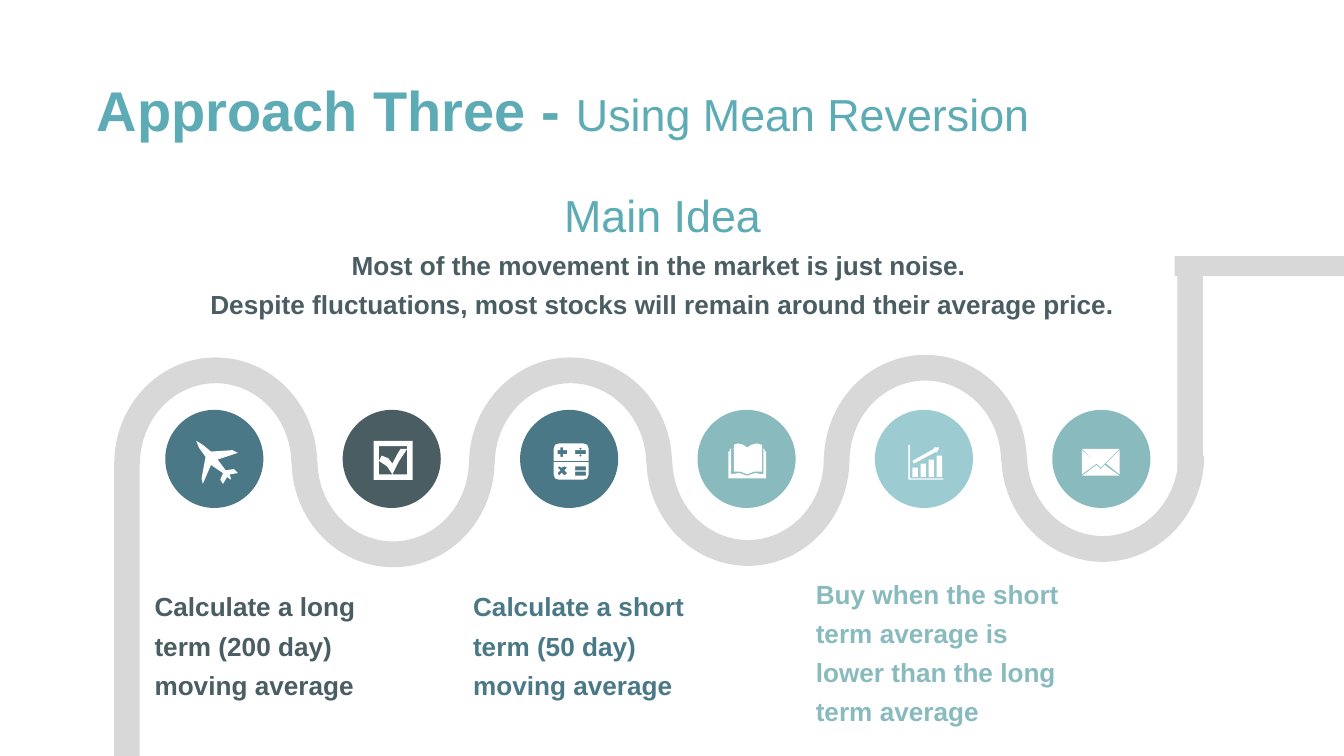
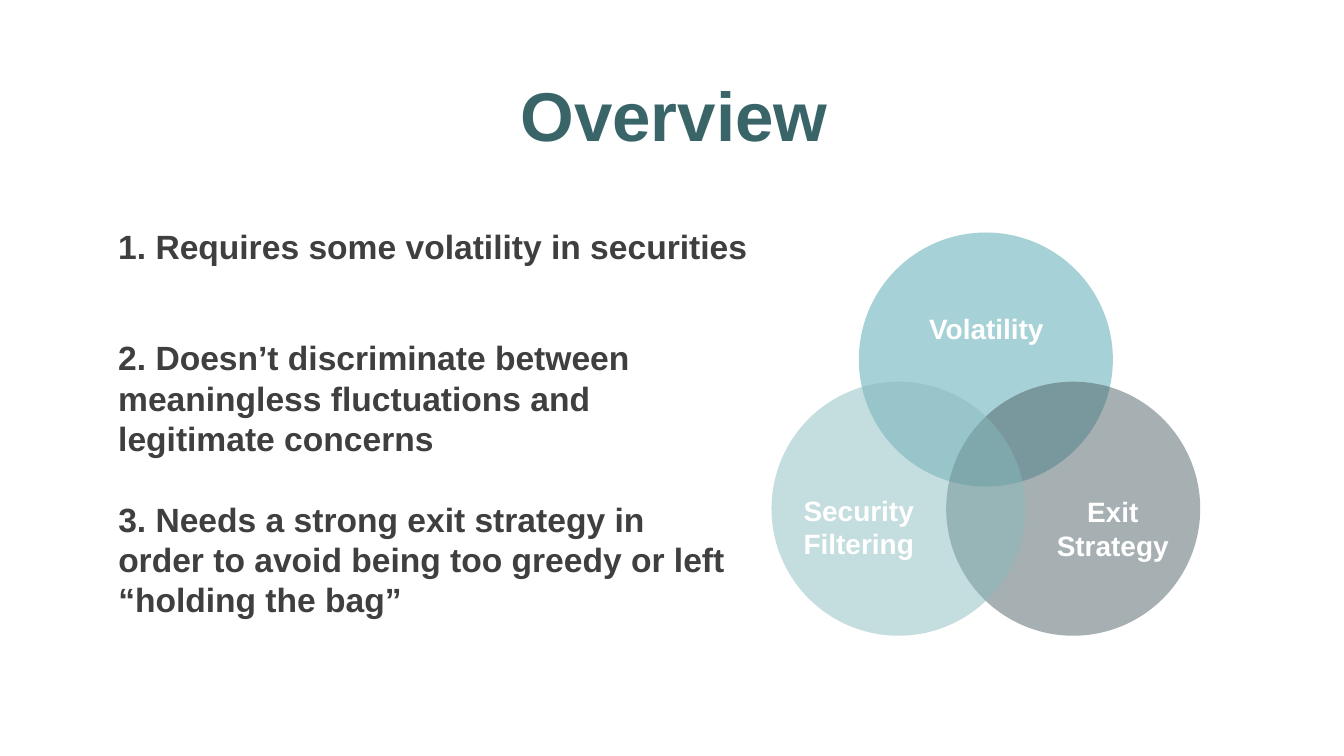
from lxml import etree
from pptx import Presentation
from pptx import util as u
from pptx.dml.color import RGBColor
from pptx.enum import shapes, text
from pptx.oxml.ns import qn

# Grid: 100 columns by 56.25 rows of square cells
CELL = u.Inches(0.1)
COLUMNS, ROWS = 100, 56.25
FONT = "Arial"
COLOURS = {
    "road": "D8D8D8", "white": "FFFFFF", "title": "5DABB5", "overview": "396569",
    "slate": "4A5D62", "blue": "4A7886", "sage": "88BABE", "sky": "9CCCD2",
    "ink": "3F3F3F",
}
KIND = shapes.MSO_SHAPE
MIDDLE, TOP = text.MSO_ANCHOR.MIDDLE, text.MSO_ANCHOR.TOP
LEFT, CENTER = text.PP_ALIGN.LEFT, text.PP_ALIGN.CENTER


def paint(shape, colour, opacity=None):
    shape.shadow.inherit = False
    shape.fill.solid()
    shape.fill.fore_color.rgb = RGBColor.from_string(COLOURS[colour])
    if opacity is not None:
        tint = shape.element.find(".//" + qn("a:srgbClr"))
        etree.SubElement(tint, qn("a:alpha"), val=str(opacity * 1000))
    shape.line.fill.background()


def add_text(page, area, paras, anchor=TOP, align=LEFT, spacing=1.0):
    """Each para is a list of (words, size, colour, bold) spans."""
    box = page.shapes.add_textbox(*[round(n * CELL) for n in area])
    frame = box.text_frame
    frame.word_wrap = True
    frame.vertical_anchor = anchor
    frame.margin_left = frame.margin_right = u.Inches(0.07)
    frame.margin_top = frame.margin_bottom = u.Inches(0.04)
    for number, spans in enumerate(paras):
        para = frame.add_paragraph() if number else frame.paragraphs[0]
        para.alignment = align
        para.line_spacing = spacing
        for words, size, colour, bold in spans:
            span = para.add_run()
            span.text = words
            span.font.name = FONT
            span.font.size = u.Pt(size)
            span.font.bold = bold
            span.font.color.rgb = RGBColor.from_string(COLOURS[colour])


deck = Presentation()
deck.slide_width, deck.slide_height = round(COLUMNS * CELL), round(ROWS * CELL)
blank = deck.slide_layouts[6]

# Slide 1: winding road
page = deck.slides.add_slide(blank)
PITCH = 13.2
ROAD_LEFT, ROAD_WIDTH = 8.5, 1.9

for step, top in enumerate([26.6, 26.4, 26.6, 26.3, 26.4, 26]):
    arc = page.shapes.add_shape(
        KIND.BLOCK_ARC, round((ROAD_LEFT + step * PITCH) * CELL), round(top * CELL),
        round(15.1 * CELL), round(15.8 * CELL))
    for index, value in enumerate([108, 215.594, 0.127]):
        arc.adjustments[index] = value
    arc.rotation = 180 * (step % 2)
    paint(arc, "road")

for area in [(ROAD_LEFT, 34.4, ROAD_WIDTH, ROWS - 34.4),
             (87.6, 19.9, ROAD_WIDTH, 15),
             (87.4, 19.05, COLUMNS - 87.4, 1.5)]:
    straight = page.shapes.add_shape(KIND.RECTANGLE, *[round(n * CELL) for n in area])
    paint(straight, "road")

# Icon outlines, in tenths of a cell from the corner of their circle
plane = ["54,47 48,48 49,52 46,50 43,55 41,52 43,47 34,41 28,55 27,51 30,35 "
         "25,28 23,23 28,26 34,31 50,30 54,32 39,37 45,45 51,44"]
tick_box = ["23,23 52,23 52,52 23,52",
            "27,27 27,48 37,48 33,42 27,38 29,34 34,36 37,40 40,34 43,29 "
            "48,29 42,38 37,48 48,48 48,27"]
calculator = [
    "25,29 26,26 29,25 37.8,25 37.8,38 25,38",
    "38.3,25 47,25 50,26 51,29 51,38 38.3,38",
    "25,39 37.8,39 37.8,52 29,52 26,51 25,48",
    "38.3,39 51,39 51,48 50,51 47,52 38.3,52",
    "30,28 32,28 32,30 35,30 35,33 32,33 32,35 30,35 30,33 28,33 28,30 30,30",
    "41,30 49,30 49,33 41,33", "45,28 46,29 45,30 44,29", "45,33 46,34 45,35 44,34",
    "29,42 31,43 33,42 35,43 33,45 35,47 33,49 31,47 29,49 28,47 30,45 28,43",
    "41,42 49,42 49,45 41,45", "41,46 49,46 49,49 41,49"]
book = ["23,31 24,31 24,29 27,29 27,26 30,25 34,26 37,28 40,26 44,25 48,26 48,29 "
        "50,29 50,31 51,31 51,51 23,51",
        "25,29 25,48 31,47 37,49 37,48 32,46 27,46 27,29",
        "49,29 49,48 43,47 37,49 37,48 42,46 48,46 48,29",
        "36.8,29 37.2,29 37.2,48 36.8,48"]
growth = ["28,43 32,43 32,50 28,50", "34,40 38,40 38,50 34,50",
          "40,37 44,37 44,50 40,50", "46,34 50,34 50,50 46,50",
          "44,28 48,28 46,32 46,31 29,40 28,38 44,29",
          "25,26 26,26 26,51 51,51 51,52 25,52"]
envelope = ["39,41 50,49 22,49 33,41 36,44", "50,30 50,48 40,40",
            "22,30 33,40 22,48", "22,29 50,29 36,43"]

# Milestone circles with their icons
milestones = [("blue", plane), ("slate", tick_box), ("blue", calculator),
              ("sage", book), ("sky", growth), ("sage", envelope)]
for step, (colour, outlines) in enumerate(milestones):
    left, top = 12.3 + step * PITCH, 30.5
    circle = page.shapes.add_shape(
        KIND.OVAL, round(left * CELL), round(top * CELL),
        round(7.3 * CELL), round(7.3 * CELL))
    paint(circle, colour)
    pen = None
    for outline in outlines:
        points = []
        for pair in outline.split():
            x, y = pair.split(",")
            points.append((left * 10 + float(x), top * 10 + float(y)))
        if pen is None:
            pen = page.shapes.build_freeform(*points[0], scale=CELL / 10)
        else:
            pen.move_to(*points[0])
        pen.add_line_segments(points[1:], close=True)
    paint(pen.convert_to_shape(), "white")

# Title, main idea and steps
add_text(page, (6.5, 3.2, 86.9, 9.1),
         [[("Approach Three - ", 30, "title", True),
           ("Using Mean Reversion", 24, "title", False)]], MIDDLE, spacing=1.15)
for area, words, colour in [
        ((10.8, 42.2, 20, 11.1), "Calculate a long term (200 day) moving average", "slate"),
        ((34.5, 43.2, 19.6, 9.1), "Calculate a short term (50 day) moving average", "blue"),
        ((60, 43.2, 20.7, 10.1),
         "Buy when the short term average is lower than the long term average", "sage")]:
    add_text(page, area, [[(words, 14, colour, True)]], MIDDLE, spacing=1.25)
add_text(page, (14.1, 11.4, 70.4, 13.9), [
    [("Main Idea", 24, "title", False)],
    [("Most of the movement in the market is just noise. ", 14, "slate", True)],
    [("Despite fluctuations, most stocks will remain around their average price.",
      14, "slate", True)]], MIDDLE, CENTER, 1.25)

# Slide 2: overview
page = deck.slides.add_slide(blank)
add_text(page, (2.7, 6.1, 94.9, 5.9), [[("Overview", 37, "overview", True)]],
         MIDDLE, CENTER, 0.8)

# Numbered points
for top, width, height, words in [
        (16.4, 66, 4, "1. Requires some volatility in securities"),
        (24.7, 48.7, 9.5, "2. Doesn’t discriminate between meaningless fluctuations "
                          "and legitimate concerns"),
        (36.7, 46.9, 13, "3. Needs a strong exit strategy in order to avoid being "
                         "too greedy or left “holding the bag”")]:
    add_text(page, (8.1, top, width, height), [[(words, 18, "ink", True)]])

# Overlapping circles, then their labels
for left, top, colour, opacity in [(63.9, 17.3, "sky", 89), (70.4, 28.4, "slate", 49),
                                   (57.4, 28.4, "sage", 49)]:
    circle = page.shapes.add_shape(
        KIND.OVAL, round(left * CELL), round(top * CELL),
        round(18.9 * CELL), round(18.9 * CELL))
    paint(circle, colour, opacity)
for left, top, lines in [(57.4, 36.3, ["Security", "Filtering"]),
                         (76.3, 36.4, ["Exit Strategy"]),
                         (66.9, 22.8, ["Volatility"])]:
    add_text(page, (left, top, 13, 3.3),
             [[(line, 15, "white", True)] for line in lines], align=CENTER)

deck.save("out.pptx")
